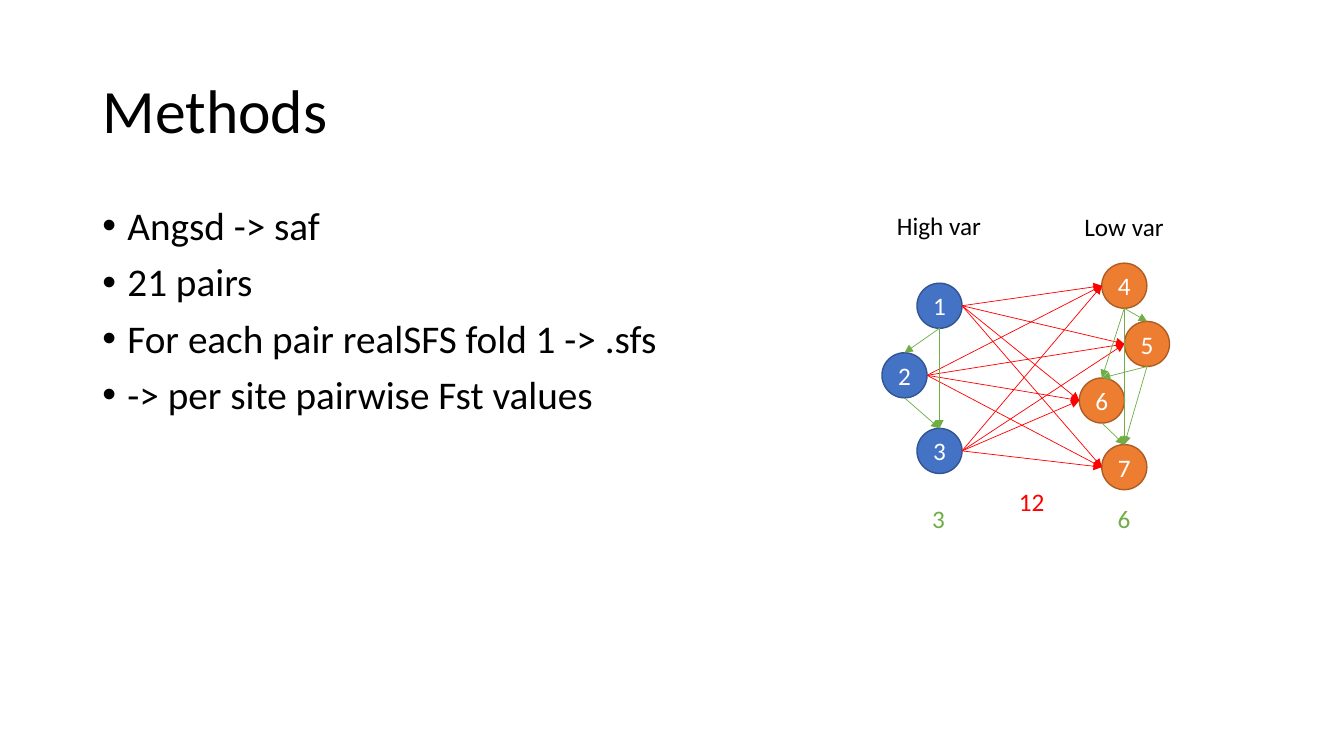
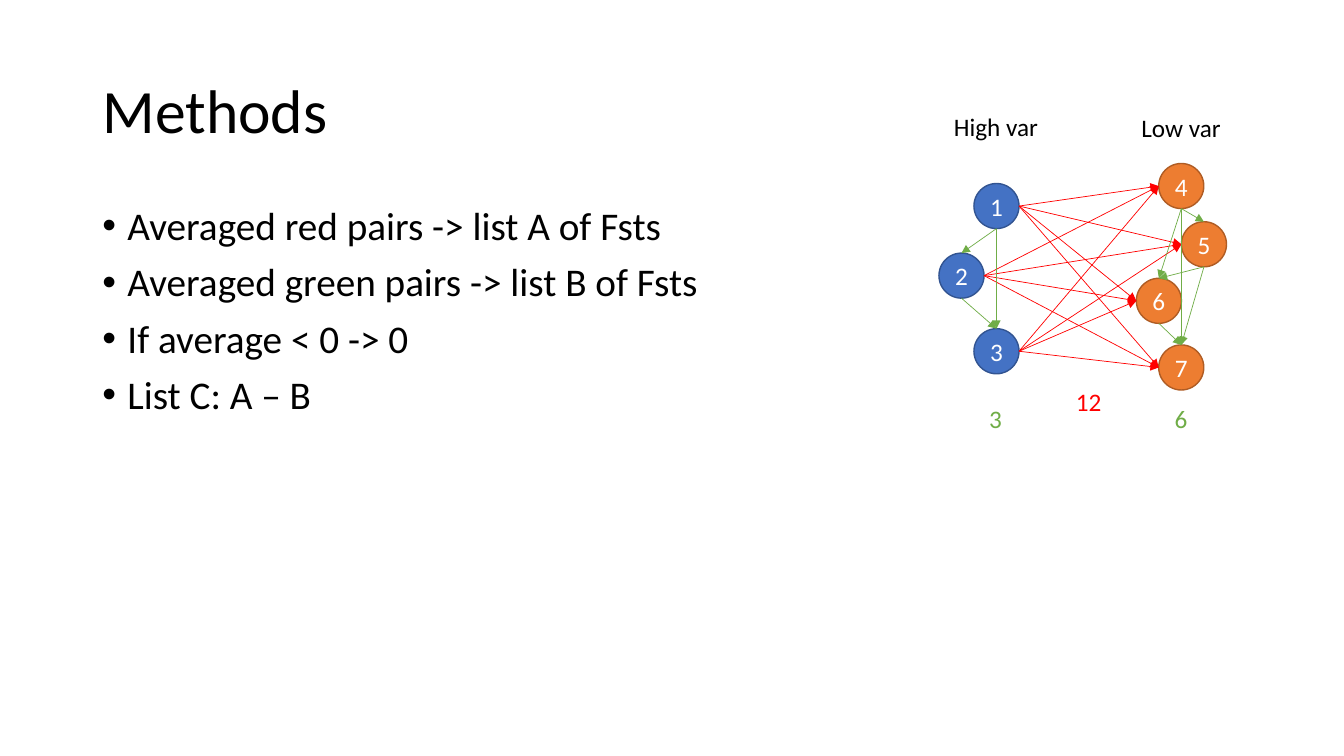
"""Two Methods slides with a diagram of paired samples."""
from itertools import product

from lxml import etree
from pptx import Presentation
from pptx.dml.color import RGBColor
from pptx.enum.shapes import MSO_CONNECTOR, MSO_SHAPE
from pptx.enum.text import MSO_ANCHOR, MSO_AUTO_SIZE, PP_ALIGN
from pptx.oxml.ns import qn
from pptx.util import Pt

BLACK = RGBColor(0x00, 0x00, 0x00)
WHITE = RGBColor(0xFF, 0xFF, 0xFF)
BLUE = RGBColor(0x44, 0x72, 0xC4)
NAVY = RGBColor(0x32, 0x54, 0x91)
ORANGE = RGBColor(0xED, 0x7D, 0x31)
BROWN = RGBColor(0xAF, 0x5C, 0x24)
RED = RGBColor(0xFF, 0x00, 0x00)
GREEN = RGBColor(0x70, 0xAD, 0x47)

FONT = "Calibri"
OVAL = MSO_SHAPE.OVAL
STRAIGHT = MSO_CONNECTOR.STRAIGHT
MIDDLE = MSO_ANCHOR.MIDDLE
TOP = MSO_ANCHOR.TOP
LEFT = PP_ALIGN.LEFT
CENTER = PP_ALIGN.CENTER
FIXED = MSO_AUTO_SIZE.NONE
GROW = MSO_AUTO_SIZE.SHAPE_TO_FIT_TEXT

NODE = 32.2
SITES = {0: (0.5, 0), 2: (0, 0.5), 4: (0.5, 1), 6: (1, 0.5)}
HIGH = {1: (25, 55.3), 2: (0, 105), 3: (25, 159)}
LOW = {4: (157, 41), 5: (173.2, 82.6), 6: (141, 123), 7: (157, 170.6)}
WITHIN = [(4, 5), (4, 6), (4, 7), (5, 6), (5, 7), (6, 7),
          (1, 2), (1, 3), (2, 3)]
LABELS = [
    ("High var", 3.6, 0, 75.6, BLACK),
    ("Low var", 137.5, 0.7, 72, BLACK),
    ("12", 90.7, 196.5, 33, RED),
    ("3", 28.8, 208.7, 24, GREEN),
    ("6", 161.3, 208.7, 24, GREEN),
]
SLIDES = [
    (["Angsd -> saf", "21 pairs", "For each pair realSFS fold 1 -> .sfs",
      "-> per site pairwise Fst values"], 462, (630, 147)),
    (["Averaged red pairs -> list A of Fsts",
      "Averaged green pairs -> list B of Fsts",
      "If average < 0 -> 0", "List C: A – B"], 828, (670.7, 75.8)),
]


def style(para, size, color, align=LEFT):
    """Format a paragraph and its runs."""
    para.alignment = align
    for run in para.runs:
        run.font.name = FONT
        run.font.size = Pt(size)
        run.font.color.rgb = color


def add_title(slide, text):
    """Place and format the slide title."""
    title = slide.shapes.title
    title.left, title.top = Pt(66), Pt(28.8)
    title.width, title.height = Pt(828), Pt(104.4)
    frame = title.text_frame
    frame.text = text
    frame.auto_size = FIXED
    frame.vertical_anchor = MIDDLE
    para = frame.paragraphs[0]
    para.line_spacing = 0.9
    style(para, 44, BLACK)


def add_list(slide, items, width):
    """Add the bulleted list."""
    box = slide.shapes.add_textbox(Pt(66), Pt(144), Pt(width), Pt(343))
    frame = box.text_frame
    frame.word_wrap = True
    frame.vertical_anchor = TOP
    frame.text = "\n".join(items)
    for para in frame.paragraphs:
        style(para, 28, BLACK)
        para.line_spacing = 0.9
        para.space_before = Pt(10)
        props = para._p.get_or_add_pPr()
        props.set("marL", str(Pt(18)))
        props.set("indent", str(Pt(-18)))
        etree.SubElement(props, qn("a:buFont"), typeface="Arial")
        etree.SubElement(props, qn("a:buChar"), char="•")


def add_node(slide, num, left, top, fill, edge):
    """Add a numbered circle."""
    node = slide.shapes.add_shape(OVAL, Pt(left), Pt(top), Pt(NODE), Pt(NODE))
    node.shadow.inherit = False
    node.fill.solid()
    node.fill.fore_color.rgb = fill
    node.line.color.rgb = edge
    node.line.width = Pt(1)
    frame = node.text_frame
    frame.margin_left = frame.margin_right = 0
    frame.margin_top = frame.margin_bottom = 0
    frame.word_wrap = False
    frame.vertical_anchor = MIDDLE
    frame.text = str(num)
    style(frame.paragraphs[0], 18, WHITE, CENTER)
    return node


def site_xy(node, site):
    """Return the point of a connection site on a circle."""
    across, down = SITES[site]
    return (node.left + int(node.width * across),
            node.top + int(node.height * down))


def add_arrow(slide, start, end, sites, color):
    """Join two circles with an arrow glued at the given sites."""
    ends = list(zip(("a:stCxn", "a:endCxn"), (start, end), sites))
    points = [site_xy(node, site) for _, node, site in ends]
    arrow = slide.shapes.add_connector(STRAIGHT, *points[0], *points[1])
    arrow.line.color.rgb = color
    arrow.line.width = Pt(0.5)
    glue = arrow._element.find(".//" + qn("p:cNvCxnSpPr"))
    for tag, node, site in ends:
        etree.SubElement(glue, qn(tag), id=str(node.shape_id), idx=str(site))
    props = arrow._element.spPr
    etree.SubElement(props.find(qn("a:ln")), qn("a:tailEnd"), type="triangle")
    etree.SubElement(props, qn("a:effectLst"))


def add_label(slide, text, left, top, width, color):
    """Add a one-line label."""
    box = slide.shapes.add_textbox(Pt(left), Pt(top), Pt(width), Pt(29))
    frame = box.text_frame
    frame.word_wrap = False
    frame.auto_size = GROW
    frame.text = text
    style(frame.paragraphs[0], 18, color)


def add_graph(slide, left, top):
    """Draw the two sample groups, their pairs and the pair counts."""
    nodes = {}
    for group, fill, edge in ((HIGH, BLUE, NAVY), (LOW, ORANGE, BROWN)):
        for num, (x, y) in group.items():
            nodes[num] = add_node(slide, num, left + x, top + y, fill, edge)
    for pairs, sites, color in ((product(HIGH, LOW), (6, 2), RED),
                                (WITHIN, (4, 0), GREEN)):
        for start, end in pairs:
            add_arrow(slide, nodes[start], nodes[end], sites, color)
    for text, x, y, width, color in LABELS:
        add_label(slide, text, left + x, top + y, width, color)


def main():
    """Build and save the slides."""
    deck = Presentation()
    deck.slide_width, deck.slide_height = Pt(960), Pt(540)
    for items, width, place in SLIDES:
        slide = deck.slides.add_slide(deck.slide_layouts[5])
        add_title(slide, "Methods")
        add_list(slide, items, width)
        add_graph(slide, *place)
    deck.save("out.pptx")


if __name__ == "__main__":
    main()
